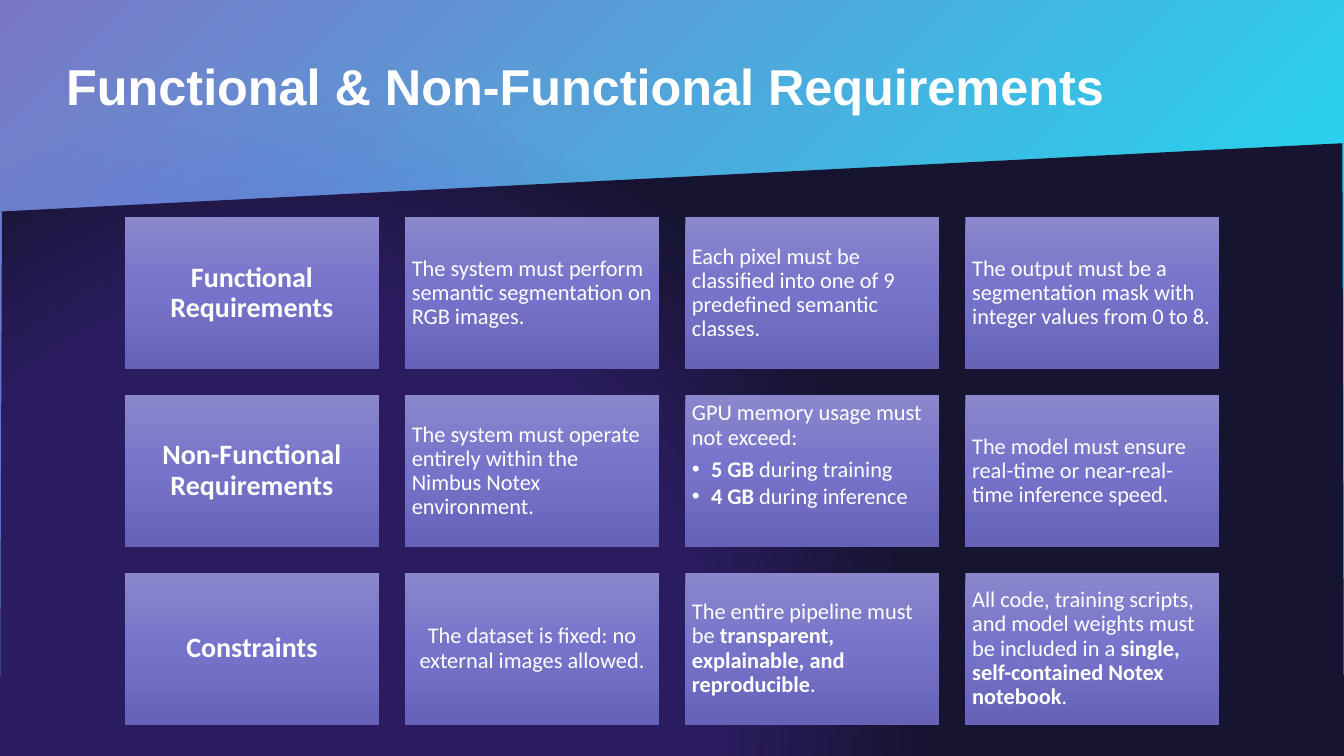
from dataclasses import dataclass

from lxml.etree import SubElement
from pptx import Presentation
from pptx.dml.color import RGBColor
from pptx.dml.fill import FillFormat
from pptx.enum.shapes import MSO_SHAPE
from pptx.enum.text import MSO_ANCHOR, PP_ALIGN
from pptx.oxml.ns import qn
from pptx.oxml.xmlchemy import BaseOxmlElement
from pptx.shapes.autoshape import Shape
from pptx.slide import Slide
from pptx.text.text import TextFrame, _Paragraph
from pptx.util import Cm, Pt

SLIDE_WIDTH, SLIDE_HEIGHT = 33.87, 19.05
CARD_LEFT, CARD_TOP = 3.15, 5.47
CARD_WIDTH, CARD_HEIGHT = 6.4, 3.84
COLUMN_STEP, ROW_STEP = 7.06, 4.48
CARD_INSET = 0.17
WHITE = "FFFFFF"


@dataclass(frozen=True)
class Stop:
    position: int
    color: str
    opacity: int = 100


@dataclass(frozen=True)
class Run:
    text: str
    bold: bool = False


@dataclass(frozen=True)
class Line:
    runs: tuple[Run, ...]
    bullet: bool = False
    space_after: float = 0


@dataclass(frozen=True)
class Card:
    lines: tuple[Line, ...]
    size: int = 16
    centered: bool = False
    anchor: MSO_ANCHOR = MSO_ANCHOR.MIDDLE


def heading(text: str) -> Card:
    return Card((Line((Run(text, True),)),), size=20, centered=True)


def body(*runs: Run, centered: bool = False) -> Card:
    return Card((Line(runs),), centered=centered)


BACKGROUND_STOPS = (Stop(0, "7A77C6"), Stop(100, "08F7FE"))
CARD_STOPS = (Stop(0, "8A87CD"), Stop(50, "7673CA"), Stop(100, "6562B8"))
GLOW_STOPS = (Stop(0, "6436E6", 25), Stop(43, "6436E6", 25), Stop(62, "6436E6", 0))
PANEL_POINTS = ((33.87, 19.05), (0, 19.05), (0.05, 5.33), (33.83, 3.61))

MEMORY_LIMITS = Card(
    (
        Line((Run("GPU memory usage must not exceed:"),), space_after=5.6),
        Line((Run("5 GB ", True), Run("during training")), bullet=True, space_after=2.4),
        Line((Run("4 GB ", True), Run("during inference")), bullet=True),
    ),
    anchor=MSO_ANCHOR.TOP,
)

CARD_ROWS = (
    (
        heading("Functional Requirements"),
        body(Run("The system must perform semantic segmentation on RGB images.")),
        body(Run("Each pixel must be classified into one of 9 predefined semantic classes.")),
        body(Run("The output must be a segmentation mask with integer values from 0 to 8.")),
    ),
    (
        heading("Non-Functional Requirements"),
        body(Run("The system must operate entirely within the Nimbus Notex environment.")),
        MEMORY_LIMITS,
        body(Run("The model must ensure real-time or near-real-time inference speed.")),
    ),
    (
        heading("Constraints"),
        body(Run("The dataset is fixed: no external images allowed."), centered=True),
        body(
            Run("The entire pipeline must be "),
            Run("transparent, explainable, and reproducible", True),
            Run("."),
        ),
        body(
            Run("All code, training scripts, and model weights must be included in a "),
            Run("single, self-contained Notex notebook", True),
            Run("."),
        ),
    ),
)


def color(value: str) -> RGBColor:
    return RGBColor.from_string(value)


def set_gradient(
    fill: FillFormat, owner: BaseOxmlElement, stops: tuple[Stop, ...], angle: int | None
) -> None:
    """Fill with a linear gradient, or a radial one when angle is None."""
    fill.gradient()
    gradient = next(owner.iter(qn("a:gradFill")))
    for child in list(gradient):
        gradient.remove(child)
    stop_list = SubElement(gradient, qn("a:gsLst"))
    for stop in stops:
        entry = SubElement(stop_list, qn("a:gs"), pos=str(stop.position * 1000))
        shade = SubElement(entry, qn("a:srgbClr"), val=stop.color)
        if stop.opacity < 100:
            SubElement(shade, qn("a:alpha"), val=str(stop.opacity * 1000))
    if angle is None:
        route = SubElement(gradient, qn("a:path"), path="circle")
        center = {side: "50000" for side in "ltrb"}
        SubElement(route, qn("a:fillToRect"), center)
    else:
        SubElement(gradient, qn("a:lin"), ang=str(angle * 60000), scaled="0")


def make_plain(shape: Shape) -> None:
    shape.shadow.inherit = False
    shape.line.fill.background()


def add_runs(paragraph: _Paragraph, runs: tuple[Run, ...], font: str, size: int) -> None:
    paragraph.line_spacing = 0.9
    for item in runs:
        run = paragraph.add_run()
        run.text = item.text
        run.font.name = font
        run.font.size = Pt(size)
        run.font.bold = item.bold
        run.font.color.rgb = color(WHITE)


def add_bullet(paragraph: _Paragraph) -> None:
    properties = paragraph._p.get_or_add_pPr()
    properties.set("marL", str(Cm(0.48)))
    properties.set("indent", str(-Cm(0.48)))
    SubElement(properties, qn("a:buFont"), typeface="Arial")
    SubElement(properties, qn("a:buChar"), char="•")


def write_card(frame: TextFrame, card: Card) -> None:
    frame.word_wrap = True
    frame.vertical_anchor = card.anchor
    frame.margin_left = frame.margin_right = Cm(CARD_INSET)
    frame.margin_top = frame.margin_bottom = Cm(CARD_INSET)
    for index, line in enumerate(card.lines):
        paragraph = frame.add_paragraph() if index else frame.paragraphs[0]
        paragraph.alignment = PP_ALIGN.CENTER if card.centered else PP_ALIGN.LEFT
        add_runs(paragraph, line.runs, "Calibri", card.size)
        paragraph.space_after = Pt(line.space_after)
        if line.bullet:
            add_bullet(paragraph)


def add_card(slide: Slide, card: Card, row: int, column: int) -> None:
    shape = slide.shapes.add_shape(
        MSO_SHAPE.RECTANGLE,
        Cm(CARD_LEFT + column * COLUMN_STEP),
        Cm(CARD_TOP + row * ROW_STEP),
        Cm(CARD_WIDTH),
        Cm(CARD_HEIGHT),
    )
    make_plain(shape)
    set_gradient(shape.fill, shape.element, CARD_STOPS, 90)
    write_card(shape.text_frame, card)


def add_backdrop(slide: Slide) -> None:
    set_gradient(slide.background.fill, slide.element, BACKGROUND_STOPS, 45)

    start, *corners = [(Cm(x), Cm(y)) for x, y in PANEL_POINTS]
    builder = slide.shapes.build_freeform(*start)
    builder.add_line_segments(corners, close=True)
    panel = builder.convert_to_shape()
    make_plain(panel)
    panel.fill.solid()
    panel.fill.fore_color.rgb = color("171431")

    glow = slide.shapes.add_shape(
        MSO_SHAPE.OVAL, Cm(-10.46), Cm(-0.03), Cm(35.66), Cm(36.12)
    )
    make_plain(glow)
    set_gradient(glow.fill, glow.element, GLOW_STOPS, None)


def add_title(slide: Slide, text: str) -> None:
    frame = slide.shapes.add_textbox(Cm(1.42), Cm(1.04), Cm(29.2), Cm(2.4)).text_frame
    frame.word_wrap = True
    frame.vertical_anchor = MSO_ANCHOR.MIDDLE
    add_runs(frame.paragraphs[0], (Run(text, True),), "Arial", 36)


def main() -> None:
    presentation = Presentation()
    presentation.slide_width = Cm(SLIDE_WIDTH)
    presentation.slide_height = Cm(SLIDE_HEIGHT)
    slide = presentation.slides.add_slide(presentation.slide_layouts[6])
    add_backdrop(slide)
    add_title(slide, "Functional & Non-Functional Requirements")
    for row, cards in enumerate(CARD_ROWS):
        for column, card in enumerate(cards):
            add_card(slide, card, row, column)
    presentation.save("out.pptx")


if __name__ == "__main__":
    main()
